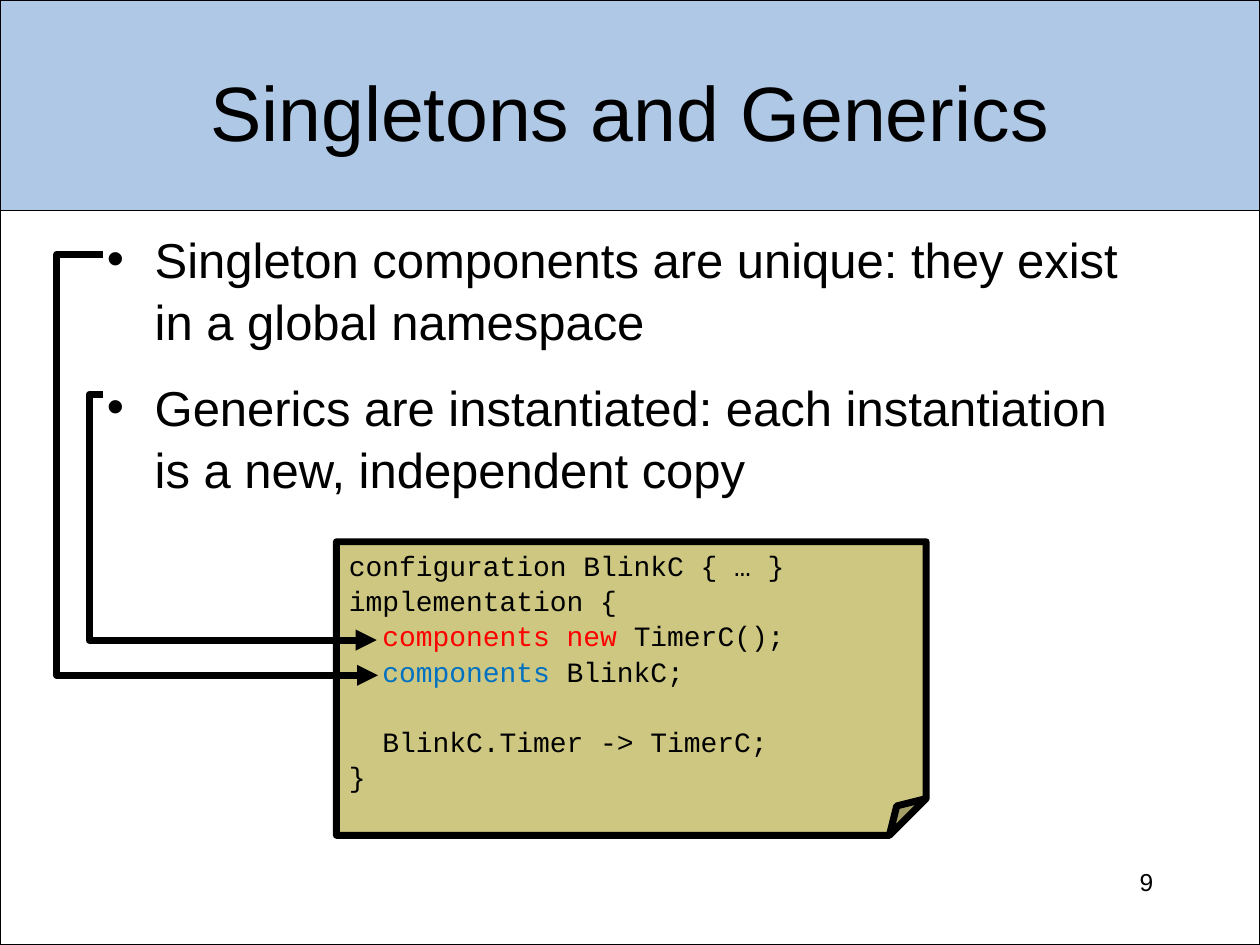
from lxml.etree import SubElement
from pptx import Presentation
from pptx.dml.color import RGBColor
from pptx.enum.shapes import MSO_CONNECTOR, MSO_SHAPE
from pptx.enum.text import MSO_ANCHOR, PP_ALIGN
from pptx.oxml.ns import qn
from pptx.util import Inches, Pt

BLACK = RGBColor(0x00, 0x00, 0x00)
WHITE = RGBColor(0xFF, 0xFF, 0xFF)
SKY = RGBColor(0xAF, 0xC8, 0xE5)
KHAKI = RGBColor(0xCD, 0xC7, 0x81)
RED = RGBColor(0xFF, 0x00, 0x00)
BLUE = RGBColor(0x00, 0x70, 0xC0)

# Content
TITLE = "Singletons and Generics"
POINTS = [
    "Singleton components are unique: they exist in a global namespace",
    "Generics are instantiated: each instantiation is a new, independent copy",
]
CODE = [  # each line is a list of (text, colour)
    [("configuration BlinkC { … }", BLACK)],
    [("implementation {", BLACK)],
    [("  ", BLACK), ("components new ", RED), ("TimerC();", BLACK)],
    [("  ", BLACK), ("components", BLUE), (" BlinkC;", BLACK)],
    [],
    [("  BlinkC.Timer -> TimerC;", BLACK)],
    [("}", BLACK)],
]
PAGE_NUMBER = "9"
# Arrows from a point to its code line: (start, end, x of the vertical part)
ARROWS = [
    ((0.82, 2.02), (3, 5.36), 0.45),
    ((0.82, 3.13), (2.99, 5.08), 0.71),
]

# Layout in inches
WIDTH, HEIGHT = 10, 7.5
BAND = 1.67
MARGIN = 0.75
INDENT = 0.38
LINE_SPACING = 1.05
CODE_FONT = "Courier New"

deck = Presentation()
deck.slide_width, deck.slide_height = Inches(WIDTH), Inches(HEIGHT)
slide = deck.slides.add_slide(deck.slide_layouts[6])


def add_box(preset, box, fill, line_width):
    shape = slide.shapes.add_shape(preset, *map(Inches, box))
    shape.shadow.inherit = False
    shape.fill.solid()
    shape.fill.fore_color.rgb = fill
    shape.line.color.rgb = BLACK
    shape.line.width = Pt(line_width)
    return shape


def set_guide(shape, name, share):
    guides = next(shape._element.iter(qn("a:avLst")))
    SubElement(guides, qn("a:gd"), name=name,
               fmla=f"val {round(share * 100000)}")


def style(font, size, color=BLACK, name="Arial"):
    font.size, font.name = Pt(size), name
    font.color.rgb = color


def add_text(box, lines, size, align=PP_ALIGN.LEFT, anchor=MSO_ANCHOR.TOP):
    frame = slide.shapes.add_textbox(*map(Inches, box)).text_frame
    frame.word_wrap = True
    frame.vertical_anchor = anchor
    frame.text = "\n".join(lines)
    for paragraph in frame.paragraphs:
        paragraph.alignment = align
        style(paragraph.runs[0].font, size)
    return frame


def add_arrow(start, end, turn_x):
    arrow = slide.shapes.add_connector(
        MSO_CONNECTOR.ELBOW, *map(Inches, start + end))
    arrow.line.color.rgb = BLACK
    arrow.line.width = Pt(4)
    outline = next(arrow._element.iter(qn("a:ln")))
    SubElement(outline, qn("a:tailEnd"), type="triangle")
    SubElement(outline.getparent(), qn("a:effectLst"))
    # The bend is a share of the arrow's width, left of its start
    set_guide(arrow, "adj1", (turn_x - start[0]) / (end[0] - start[0]))


# Body area and title band
add_box(MSO_SHAPE.RECTANGLE, (0, BAND, WIDTH, HEIGHT - BAND), WHITE, 0.75)
add_box(MSO_SHAPE.RECTANGLE, (0, 0, WIDTH, BAND), SKY, 0.75)

# Page number and title
add_text((7.17, 6.83, 2.08, 0.5), [PAGE_NUMBER], 14, PP_ALIGN.RIGHT)
add_text((MARGIN, 0.25, WIDTH - 2 * MARGIN, 1.25), [TITLE], 44,
         PP_ALIGN.CENTER, MSO_ANCHOR.MIDDLE)

# Bulleted points
points = add_text((MARGIN, 1.75, WIDTH - 2 * MARGIN, 4.92), POINTS, 28)
for point in points.paragraphs:
    point.space_before = Pt(14)
    point.line_spacing = LINE_SPACING
    bullet = point._p.get_or_add_pPr()
    bullet.set("marL", str(Inches(INDENT)))
    bullet.set("indent", str(-Inches(INDENT)))
    SubElement(bullet, qn("a:buFont"), typeface="Arial")
    SubElement(bullet, qn("a:buChar"), char="•")

# Code note
note = add_box(MSO_SHAPE.FOLDED_CORNER, (2.67, 4.3, 4.68, 2.33), KHAKI, 4)
set_guide(note, "adj", 0.125)
listing = note.text_frame
listing.word_wrap = True
listing.vertical_anchor = MSO_ANCHOR.MIDDLE
for number, pieces in enumerate(CODE):
    row = listing.add_paragraph() if number else listing.paragraphs[0]
    row.alignment = PP_ALIGN.LEFT
    row.line_spacing = LINE_SPACING
    for text, color in pieces:
        piece = row.add_run()
        piece.text = text
        style(piece.font, 16, color, CODE_FONT)
    if not pieces:
        blank_line = SubElement(row._p, qn("a:endParaRPr"), sz="1600")
        SubElement(blank_line, qn("a:latin"), typeface=CODE_FONT)

# Arrows from points to code
for start, end, turn_x in ARROWS:
    add_arrow(start, end, turn_x)

deck.save("out.pptx")
